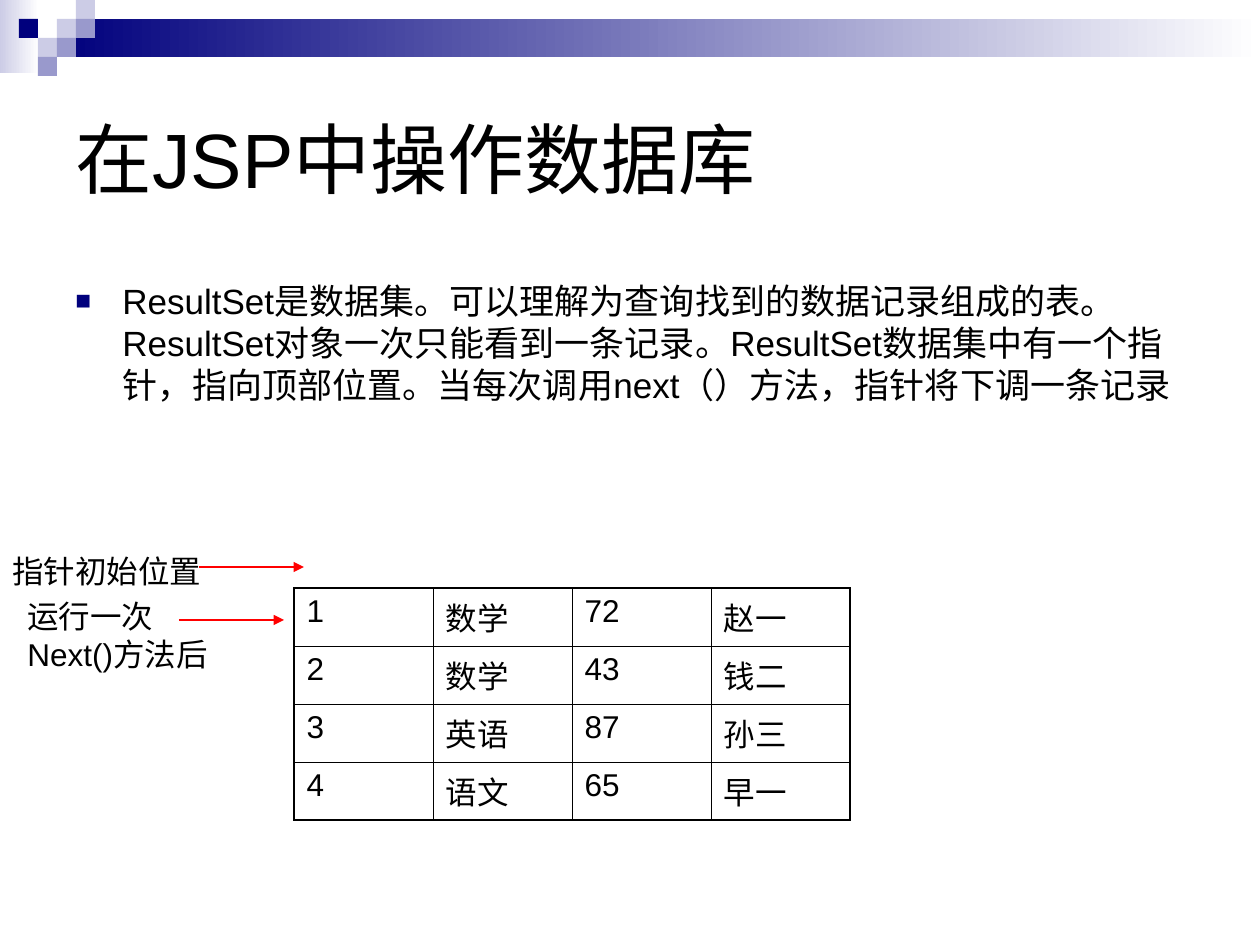
import pptx
import pptx.dml.color
import pptx.enum.shapes
import pptx.enum.text
import pptx.oxml
import pptx.oxml.ns
import pptx.util
from lxml import etree

RGB = pptx.dml.color.RGBColor
NAVY = RGB(0x00, 0x00, 0x7D)
LILAC = RGB(0xCC, 0xCC, 0xE6)
VIOLET = RGB(0x99, 0x99, 0xCC)
WHITE = RGB(0xFF, 0xFF, 0xFF)
BLACK = RGB(0x00, 0x00, 0x00)
RED = RGB(0xFF, 0x00, 0x00)

FONT = "Arial"
EMU_PER_PX = 914400 / 126
SQUARE = 19
SQUARES = [
    (3, 1, LILAC), (4, 0, LILAC), (4, 1, VIOLET), (2, 2, LILAC),
    (1, 1, NAVY), (3, 2, VIOLET), (2, 3, VIOLET),
]
TITLE = "在JSP中操作数据库"
BODY = (
    "ResultSet是数据集。可以理解为查询找到的数据记录组成的表。"
    "ResultSet对象一次只能看到一条记录。ResultSet数据集中有一个指针，"
    "指向顶部位置。当每次调用next（）方法，指针将下调一条记录"
)
RECORDS = [
    ("1", "数学", "72", "赵一"),
    ("2", "数学", "43", "钱二"),
    ("3", "英语", "87", "孙三"),
    ("4", "语文", "65", "早一"),
]
COL_WIDTH, ROW_HEIGHT = 139, 58
OUTER, INNER = 1.08, 0.45


def px(n):
    return pptx.util.Emu(round(n * EMU_PER_PX))


def box(*lengths):
    return [px(n) for n in lengths]


def add_rect(s, x, y, w, h, color, end=None):
    sp = s.shapes.add_shape(pptx.enum.shapes.MSO_SHAPE.RECTANGLE, *box(x, y, w, h))
    sp.shadow.inherit = False
    sp.line.fill.background()
    if end is None:
        sp.fill.solid()
        sp.fill.fore_color.rgb = color
        return
    sp.fill.gradient()
    sp.fill.gradient_angle = 0
    for stop, rgb, position in zip(sp.fill.gradient_stops, (color, end), (0, 1)):
        stop.color.rgb = rgb
        stop.position = position


def format_text(tf, size, before=0):
    for p in tf.paragraphs:
        p.space_before = pptx.util.Pt(before)
        for r in p.runs:
            r.font.size = pptx.util.Pt(size)
            r.font.name = FONT
            r.font.color.rgb = BLACK


def add_text(s, x, y, w, h, text, size, wrap=True, before=0):
    tf = s.shapes.add_textbox(*box(x, y, w, h)).text_frame
    tf.word_wrap = wrap
    tf.text = text
    format_text(tf, size, before)
    return tf


def add_bullet(p, indent):
    pPr = p._p.get_or_add_pPr()
    pPr.set("marL", str(px(indent)))
    pPr.set("indent", str(-px(indent)))
    color = etree.SubElement(pPr, pptx.oxml.ns.qn("a:buClr"))
    etree.SubElement(color, pptx.oxml.ns.qn("a:srgbClr"), val=str(NAVY))
    etree.SubElement(pPr, pptx.oxml.ns.qn("a:buSzPct"), val="75000")
    etree.SubElement(pPr, pptx.oxml.ns.qn("a:buFont"), typeface=FONT)
    etree.SubElement(pPr, pptx.oxml.ns.qn("a:buChar"), char="■")


def add_arrow(s, x, y, length):
    straight = pptx.enum.shapes.MSO_CONNECTOR.STRAIGHT
    line = s.shapes.add_connector(straight, *box(x, y, x + length, y))
    line.line.color.rgb = RED
    line.line.width = pptx.util.Pt(1.5)
    etree.SubElement(line.line._get_or_add_ln(), pptx.oxml.ns.qn("a:tailEnd"), type="triangle")
    etree.SubElement(line._element.spPr, pptx.oxml.ns.qn("a:effectLst"))


def set_borders(cell, widths):
    tcPr = cell._tc.get_or_add_tcPr()
    for i, (side, width) in enumerate(widths.items()):
        ln = pptx.oxml.parse_xml(
            f'<a:{side} {pptx.oxml.ns.nsdecls("a")} w="{pptx.util.Pt(width)}">'
            f'<a:solidFill><a:srgbClr val="{BLACK}"/></a:solidFill></a:{side}>'
        )
        tcPr.insert(i, ln)


def add_records(s, x, y, records):
    rows, cols = len(records), len(records[0])
    frame = s.shapes.add_table(rows, cols, *box(x, y, cols * COL_WIDTH, rows * ROW_HEIGHT))
    table = frame.table
    table.first_row = False
    table.horz_banding = False
    for column in table.columns:
        column.width = px(COL_WIDTH)
    for i, record in enumerate(records):
        table.rows[i].height = px(ROW_HEIGHT)
        for j, value in enumerate(record):
            cell = table.cell(i, j)
            cell.text_frame.text = value
            format_text(cell.text_frame, 18, 4.5)
            cell.fill.background()
            set_borders(cell, {
                "lnL": OUTER if j == 0 else INNER,
                "lnR": OUTER if j == cols - 1 else INNER,
                "lnT": OUTER if i == 0 else INNER,
                "lnB": OUTER if i == rows - 1 else INNER,
            })


def main():
    prs = pptx.Presentation()
    prs.slide_width, prs.slide_height = box(1260, 945)
    s = prs.slides.add_slide(prs.slide_layouts[6])

    add_rect(s, 0, 0, 39, 73, LILAC, WHITE)
    add_rect(s, 3 * SQUARE, SQUARE, 1203, 2 * SQUARE, NAVY, WHITE)
    for col, row, color in SQUARES:
        add_rect(s, col * SQUARE, row * SQUARE, SQUARE, SQUARE, color)

    title = add_text(s, 63, 63, 1134, 189, TITLE, 44)
    title.vertical_anchor = pptx.enum.text.MSO_ANCHOR.MIDDLE
    body = add_text(s, 63, 273, 1144, 536, BODY, 20, before=5)
    add_bullet(body.paragraphs[0], 47)

    add_records(s, 294, 588, RECORDS)
    add_arrow(s, 199, 567, 105)
    add_text(s, 0, 546, 214, 50, "指针初始位置", 18, wrap=False)
    add_arrow(s, 179, 620, 105)
    add_text(s, 15, 591, 213, 88, "运行一次\nNext()方法后", 18, wrap=False)

    prs.save("out.pptx")


if __name__ == "__main__":
    main()
